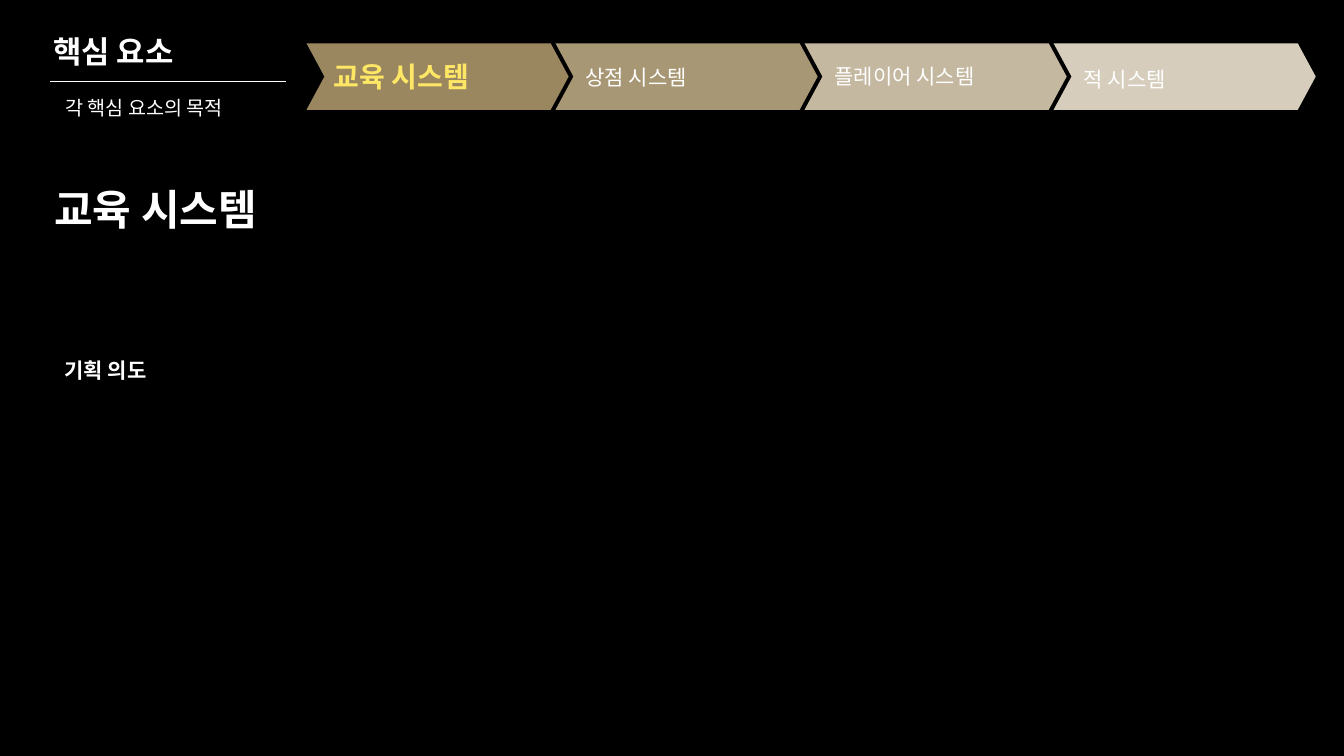
from dataclasses import dataclass

from lxml.etree import SubElement
from pptx import Presentation
from pptx.dml.color import RGBColor
from pptx.enum.shapes import MSO_CONNECTOR, MSO_SHAPE
from pptx.enum.text import MSO_AUTO_SIZE
from pptx.oxml.ns import qn
from pptx.util import Inches, Pt


@dataclass(frozen=True)
class Theme:
    """Colours, type sizes and font of the slide."""

    font: str = "Noto Sans CJK KR"
    background: str = "000000"
    text: str = "FFFFFF"
    active: str = "FFE766"
    steps: tuple = ("9A8760", "A89774", "C4B8A0", "D6CDBC")
    headline: int = 30
    title: int = 22
    active_step: int = 20
    body: int = 15
    subtitle: int = 14


THEME = Theme()
SLIDE_WIDTH, SLIDE_HEIGHT = 13.33, 7.5
STEP_LEFT, STEP_TOP, STEP_PITCH = 3.04, 0.43, 2.47
STEP_WIDTH, STEP_HEIGHT, STEP_POINT = 2.6, 0.66, 0.27
STEP_LABELS = (
    ("교육 시스템", 0.17, 0.54, 1.7, 0.44),
    ("상점 시스템", 0.2, 0.59, 1.33, 0.35),
    ("플레이어 시스템", 0.2, 0.58, 1.75, 0.35),
    ("적 시스템", 0.2, 0.61, 1.35, 0.35),
)


def paint(fill, color):
    """Give a fill one solid colour."""
    fill.solid()
    fill.fore_color.rgb = RGBColor.from_string(color)


def add_label(slide, text, box, size, color=THEME.text, bold=False, wrap=True, inset=0.05):
    """Add one line of text in a box given in inches."""
    shape = slide.shapes.add_textbox(*map(Inches, box))
    frame = shape.text_frame
    frame_format = {
        "word_wrap": wrap,
        "auto_size": MSO_AUTO_SIZE.SHAPE_TO_FIT_TEXT,
        "margin_top": Inches(inset),
    }
    for name, value in frame_format.items():
        setattr(frame, name, value)
    run = frame.paragraphs[0].add_run()
    run.text = text
    font_format = {"name": THEME.font, "size": Pt(size), "bold": bold}
    for name, value in font_format.items():
        setattr(run.font, name, value)
    paint(run.font.fill, color)
    SubElement(run.font._element, qn("a:ea"), typeface=THEME.font)


def add_rule(slide, left, right, top):
    """Add a thin horizontal line."""
    points = map(Inches, (left, top, right, top))
    line = slide.shapes.add_connector(MSO_CONNECTOR.STRAIGHT, *points)
    line.line.width = Pt(0.75)
    paint(line.line.fill, THEME.text)
    SubElement(line._element.spPr, qn("a:effectLst"))


def add_step(slide, index, color):
    """Add one chevron of the step bar."""
    box = (STEP_LEFT + index * STEP_PITCH, STEP_TOP, STEP_WIDTH, STEP_HEIGHT)
    shape = slide.shapes.add_shape(MSO_SHAPE.CHEVRON, *map(Inches, box))
    shape.adjustments[0] = STEP_POINT
    shape.shadow.inherit = False
    shape.line.fill.background()
    paint(shape.fill, color)


def add_step_bar(slide):
    """Add the chevrons and their labels, the first one highlighted."""
    for index, color in enumerate(THEME.steps):
        add_step(slide, index, color)
    for index, (text, indent, top, width, height) in enumerate(STEP_LABELS):
        active = index == 0
        add_label(
            slide,
            text,
            (STEP_LEFT + index * STEP_PITCH + indent, top, width, height),
            THEME.active_step if active else THEME.body,
            THEME.active if active else THEME.text,
            bold=active,
            wrap=index == len(STEP_LABELS) - 1,
        )


def main():
    """Build the slide and save it."""
    presentation = Presentation()
    presentation.slide_width = Inches(SLIDE_WIDTH)
    presentation.slide_height = Inches(SLIDE_HEIGHT)
    slide = presentation.slides.add_slide(presentation.slide_layouts[6])
    paint(slide.background.fill, THEME.background)
    add_label(slide, "핵심 요소", (0.43, 0.28, 1.57, 0.46), THEME.title, bold=True, wrap=False)
    add_label(slide, "각 핵심 요소의 목적", (0.55, 0.9, 2.65, 0.33), THEME.subtitle)
    add_rule(slide, 0.5, 2.84, 0.81)
    add_step_bar(slide)
    add_label(slide, "교육 시스템", (0.44, 1.77, 3.57, 0.61), THEME.headline, bold=True)
    add_label(slide, "기획 의도", (0.54, 2.74, 10.19, 1.62), THEME.body, bold=True, inset=0.81)
    presentation.save("out.pptx")


if __name__ == "__main__":
    main()
